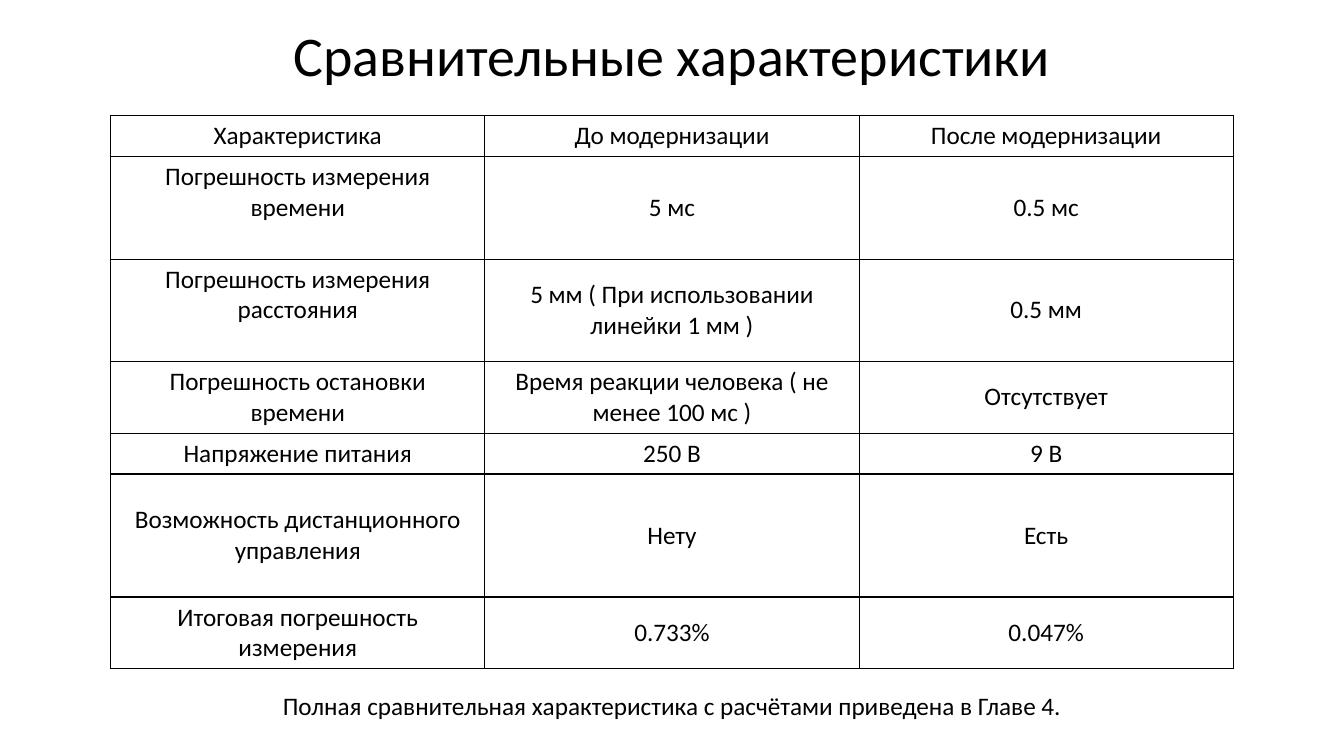
from dataclasses import dataclass

from lxml.etree import SubElement
from pptx import Presentation
from pptx.dml.color import RGBColor
from pptx.enum.text import MSO_ANCHOR, PP_ALIGN
from pptx.oxml.ns import qn
from pptx.util import Cm, Pt


@dataclass(frozen=True)
class Theme:
    font: str = "Calibri"
    ink: str = "000000"
    paper: str = "FFFFFF"
    title_size: int = 40
    text_size: int = 18
    border_width: int = 1


SLIDE_WIDTH, SLIDE_HEIGHT = 33.87, 19.05
TABLE_LEFT, TABLE_TOP = 2.79, 2.92
COLUMN_WIDTH = 9.43
ROW_HEIGHTS = (1.03, 2.58, 2.58, 1.8, 1.03, 3.1, 1.8)
TOP_ALIGNED_CELLS = {(1, 0), (2, 0)}
COMPARISON = (
    ("Характеристика", "До модернизации", "После модернизации"),
    ("Погрешность измерения времени", "5 мс", "0.5 мс"),
    ("Погрешность измерения расстояния",
     "5 мм ( При использовании линейки 1 мм )", "0.5 мм"),
    ("Погрешность остановки времени",
     "Время реакции человека ( не менее 100 мс )", "Отсутствует"),
    ("Напряжение питания", "250 В", "9 В"),
    ("Возможность дистанционного управления", "Нету", "Есть"),
    ("Итоговая погрешность измерения", "0.733%", "0.047%"),
)


def format_text(text_frame, text, *, font, size, color,
                alignment=PP_ALIGN.CENTER, line_spacing=None):
    text_frame.word_wrap = True
    paragraph = text_frame.paragraphs[0]
    paragraph.alignment = alignment
    paragraph.line_spacing = line_spacing
    run = paragraph.add_run()
    run.text = text
    run.font.name = font
    run.font.size = Pt(size)
    run.font.color.rgb = RGBColor.from_string(color)


def add_cell_borders(cell, color, width):
    """Draw all four sides; the schema wants them ahead of the cell's fill."""
    properties = cell._tc.get_or_add_tcPr()
    for position, side in enumerate(("lnL", "lnR", "lnT", "lnB")):
        line = SubElement(properties, qn(f"a:{side}"), w=str(Pt(width)))
        fill = SubElement(line, qn("a:solidFill"))
        SubElement(fill, qn("a:srgbClr"), val=color)
        properties.insert(position, line)


class SlideBuilder:
    def __init__(self, slide, theme):
        self.slide = slide
        self.theme = theme

    def set_text(self, text_frame, text, size, **text_format):
        format_text(text_frame, text, font=self.theme.font, size=size,
                    color=self.theme.ink, **text_format)

    def set_title(self, text, left, top, width, height):
        title = self.slide.shapes.title
        title.left, title.top = Cm(left), Cm(top)
        title.width, title.height = Cm(width), Cm(height)
        title.text_frame.vertical_anchor = MSO_ANCHOR.MIDDLE
        self.set_text(title.text_frame, text, self.theme.title_size, line_spacing=0.9)

    def add_table(self, rows, left, top, column_width, row_heights, top_aligned):
        column_count = len(rows[0])
        table = self.slide.shapes.add_table(
            len(rows), column_count, Cm(left), Cm(top),
            Cm(column_width * column_count), Cm(sum(row_heights))).table
        table.first_row = table.horz_banding = False
        for column in table.columns:
            column.width = Cm(column_width)
        for row_index, (texts, height) in enumerate(zip(rows, row_heights)):
            table.rows[row_index].height = Cm(height)
            for column_index, text in enumerate(texts):
                is_top = (row_index, column_index) in top_aligned
                self.fill_cell(table.cell(row_index, column_index), text,
                               MSO_ANCHOR.TOP if is_top else MSO_ANCHOR.MIDDLE)

    def fill_cell(self, cell, text, anchor):
        cell.vertical_anchor = anchor
        cell.fill.solid()
        cell.fill.fore_color.rgb = RGBColor.from_string(self.theme.paper)
        add_cell_borders(cell, self.theme.ink, self.theme.border_width)
        self.set_text(cell.text_frame, text, self.theme.text_size)

    def add_text(self, text, left, top, width, height):
        box = self.slide.shapes.add_textbox(Cm(left), Cm(top), Cm(width), Cm(height))
        self.set_text(box.text_frame, text, self.theme.text_size)


def main():
    presentation = Presentation()
    presentation.slide_width = Cm(SLIDE_WIDTH)
    presentation.slide_height = Cm(SLIDE_HEIGHT)
    title_only = presentation.slide_layouts.get_by_name("Title Only")
    builder = SlideBuilder(presentation.slides.add_slide(title_only), Theme())

    builder.set_title("Сравнительные характеристики", 0, 0, SLIDE_WIDTH, TABLE_TOP)
    builder.add_table(COMPARISON, TABLE_LEFT, TABLE_TOP, COLUMN_WIDTH,
                      ROW_HEIGHTS, TOP_ALIGNED_CELLS)
    builder.add_text(
        "Полная сравнительная характеристика с расчётами приведена в Главе 4.",
        0, 17.27, SLIDE_WIDTH, 1.03)
    presentation.save("out.pptx")


if __name__ == "__main__":
    main()
